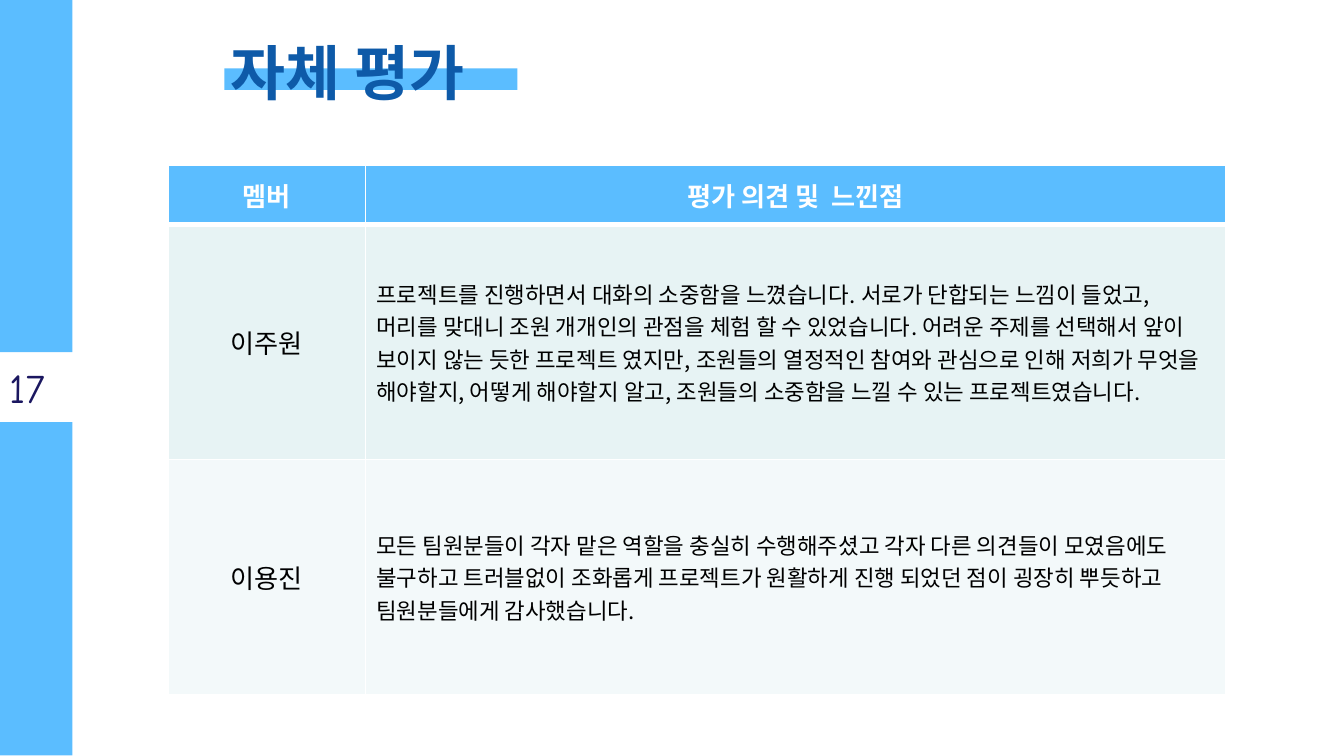
from lxml.etree import SubElement
from pptx import Presentation
from pptx.dml.color import RGBColor
from pptx.enum.shapes import MSO_SHAPE as SHAPE
from pptx.enum.text import MSO_ANCHOR as ANCHOR, PP_ALIGN as ALIGN
from pptx.oxml.ns import qn
from pptx.util import Inches, Pt

KOREAN = "Noto Sans CJK KR"
SKY, BLUE, NAVY, WHITE, BLACK = "5BBDFF", "0E5AA8", "1B1760", "FFFFFF", "000000"
ROW_FILLS = [SKY, "E7F3F4", "F3F9FA"]
COL_WIDTHS = [1.47, 6.4]
ROW_HEIGHTS = [0.44, 1.75, 1.75]
ROWS = [
    ("멤버", "평가 의견 및  느낀점"),
    ("이주원",
     "프로젝트를 진행하면서 대화의 소중함을 느꼈습니다. 서로가 단합되는 느낌이 들었고, "
     "머리를 맞대니 조원 개개인의 관점을 체험 할 수 있었습니다. 어려운 주제를 선택해서 앞이 "
     "보이지 않는 듯한 프로젝트 였지만, 조원들의 열정적인 참여와 관심으로 인해 저희가 "
     "무엇을 해야할지, 어떻게 해야할지 알고, 조원들의 소중함을 느낄 수 있는 프로젝트였습니다."),
    ("이용진",
     "모든 팀원분들이 각자 맡은 역할을 충실히 수행해주셨고 각자 다른 의견들이 모였음에도 "
     "불구하고 트러블없이 조화롭게 프로젝트가 원활하게 진행 되었던 점이 굉장히 뿌듯하고 "
     "팀원분들에게 감사했습니다."),
]


def color(value):
    return RGBColor.from_string(value)


def fill(target, value):
    target.fill.solid()
    target.fill.fore_color.rgb = color(value)


def write(tf, text, size, value, font=KOREAN, bold=False, align=ALIGN.LEFT):
    p = tf.paragraphs[0]
    p.alignment = align
    r = p.add_run()
    r.text = text
    for name, setting in {"size": Pt(size), "name": font, "bold": bold}.items():
        setattr(r.font, name, setting)
    r.font.color.rgb = color(value)
    SubElement(r._r.get_or_add_rPr(), qn("a:ea"), typeface=font)


def add_bar(shapes, left, top, width, height):
    s = shapes.add_shape(SHAPE.RECTANGLE, Inches(left), Inches(top),
                         Inches(width), Inches(height))
    s.shadow.inherit = False
    s.line.fill.background()
    fill(s, SKY)


def add_text(shapes, left, top, width, height, text, size, value, **style):
    s = shapes.add_textbox(Inches(left), Inches(top), Inches(width), Inches(height))
    s.text_frame.word_wrap = True
    write(s.text_frame, text, size, value, **style)


def set_borders(cell, **widths):
    """Draw white cell borders; keys L, R, T, B hold widths in points."""
    tc_pr = cell._tc.get_or_add_tcPr()
    for side, width in widths.items():
        ln = SubElement(tc_pr, qn(f"a:ln{side}"), w=str(Pt(width)))
        SubElement(SubElement(ln, qn("a:solidFill")), qn("a:srgbClr"), val=WHITE)


def add_review_table(shapes, left, top):
    table = shapes.add_table(
        len(ROWS), len(COL_WIDTHS), Inches(left), Inches(top),
        Inches(sum(COL_WIDTHS)), Inches(sum(ROW_HEIGHTS))).table
    for column, width in zip(table.columns, COL_WIDTHS):
        column.width = Inches(width)
    for i, (row, height) in enumerate(zip(table.rows, ROW_HEIGHTS)):
        row.height = Inches(height)
        header = i == 0
        for j, cell in enumerate(row.cells):
            opinion = j == 1 and not header
            set_borders(cell, L=1, R=1, T=3 if i == 1 else 1, B=3 if header else 1)
            fill(cell, ROW_FILLS[i])
            cell.vertical_anchor = ANCHOR.MIDDLE
            cell.margin_left = Inches(0.08)
            cell.margin_right = Inches(0.14 if opinion else 0.08)
            cell.margin_top = cell.margin_bottom = Inches(0.04)
            write(cell.text_frame, ROWS[i][j], 12 if opinion else 14,
                  WHITE if header else BLACK, bold=header,
                  align=ALIGN.LEFT if opinion else ALIGN.CENTER)


def main():
    prs = Presentation()
    prs.slide_width = Inches(10)
    prs.slide_height = prs.slide_width * 9 // 16
    shapes = prs.slides.add_slide(prs.slide_layouts[6]).shapes
    title = shapes.add_group_shape().shapes
    add_bar(title, 1.67, 0.51, 2.18, 0.16)
    add_text(title, 1.62, 0.22, 5.53, 0.63, "자체 평가", 32, BLUE, bold=True)
    add_bar(shapes, 0, 0, 0.54, 2.62)
    add_bar(shapes, 0, 3.14, 0.54, 2.48)
    add_review_table(shapes, 1.25, 1.23)
    add_text(shapes, -0.03, 2.65, 0.77, 0.46, "17", 22, NAVY, font="Comic Neue")
    prs.save("out.pptx")


if __name__ == "__main__":
    main()
